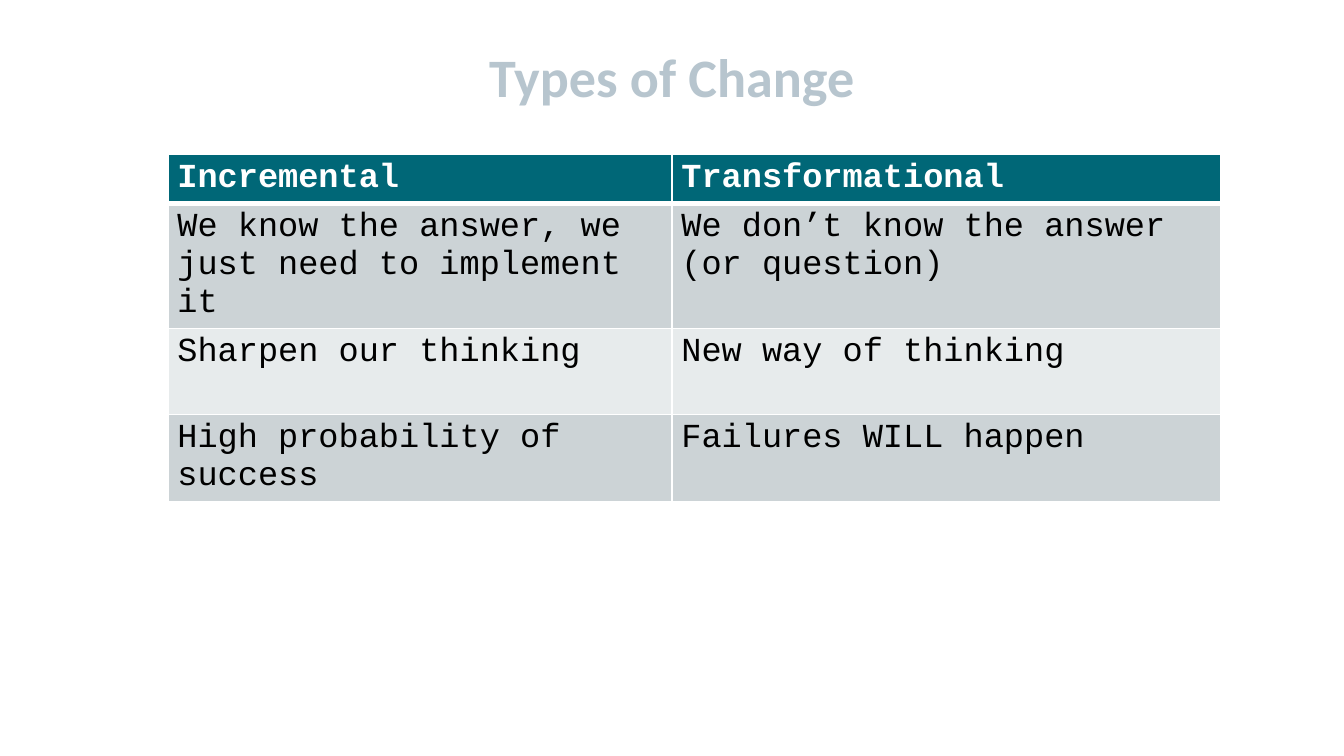
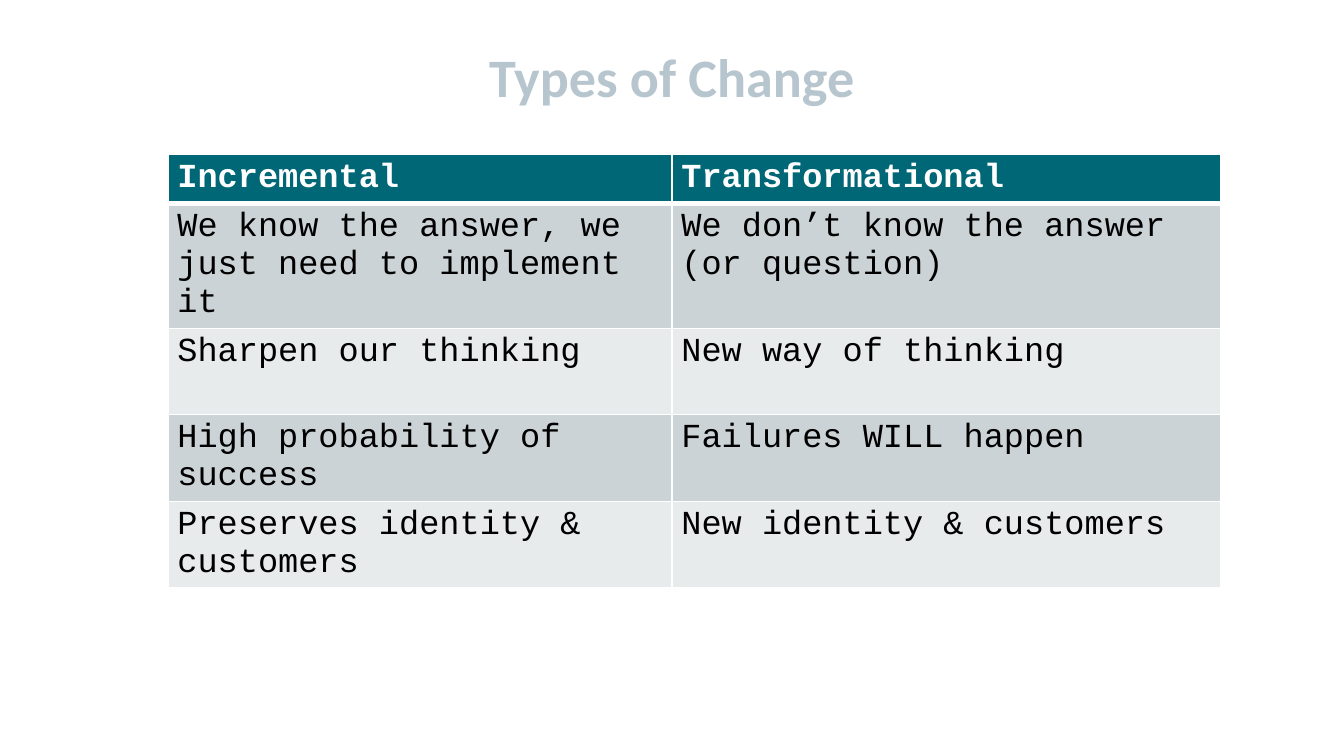
from lxml.etree import SubElement
from pptx import Presentation
from pptx.dml.color import RGBColor
from pptx.enum.text import MSO_ANCHOR, PP_ALIGN
from pptx.oxml.ns import qn
from pptx.util import Inches, Pt

COLORS = {
    "title": "B7C5CE",
    "head": "006777",
    "dark": "CCD3D6",
    "light": "E7EBEC",
    "white": "FFFFFF",
    "black": "000000",
}
WIDTHS = [3.75, 4.08]
HEAD = ("Incremental", "Transformational")
# Left text, right text, row height
ROWS = [
    ("We know the answer, we just need to implement it",
     "We don’t know the answer (or question)", 0.91),
    ("Sharpen our thinking", "New way of thinking", 0.64),
    ("High probability of success", "Failures WILL happen", 0.64),
    ("Preserves identity & customers", "New identity & customers", 0.64),
]


def color(name):
    return RGBColor.from_string(COLORS[name])


def set_font(par, face, size, tint, bold):
    par.font.name = face
    par.font.size = Pt(size)
    par.font.bold = bold
    par.font.color.rgb = color(tint)


def add_title(slide, text):
    title = slide.shapes.title
    title.left, title.top = Inches(0.5), Inches(0.25)
    title.width, title.height = Inches(9), Inches(0.63)
    frame = title.text_frame
    frame.text = text
    frame.vertical_anchor = MSO_ANCHOR.MIDDLE
    par = frame.paragraphs[0]
    par.alignment = PP_ALIGN.CENTER
    set_font(par, "Calibri", 29, "title", True)


def set_lines(cell, top, bottom):
    """Draw white cell borders, with top and bottom widths in points."""
    props = cell._tc.get_or_add_tcPr()
    for side, width in (("L", 1), ("R", 1), ("T", top), ("B", bottom)):
        line = SubElement(props, qn(f"a:ln{side}"), w=str(Pt(width)))
        fill = SubElement(line, qn("a:solidFill"))
        SubElement(fill, qn("a:srgbClr"), val=COLORS["white"])


def fill_cell(cell, text, row):
    head = row == 0
    cell.margin_left = cell.margin_right = Inches(0.07)
    cell.margin_top = cell.margin_bottom = Inches(0.04)
    # The rule below the header is thicker
    set_lines(cell, 3 if row == 1 else 1, 3 if head else 1)
    cell.fill.solid()
    band = "head" if head else "dark" if row % 2 else "light"
    cell.fill.fore_color.rgb = color(band)
    cell.text = text
    set_font(cell.text_frame.paragraphs[0], "Courier New", 18,
             "white" if head else "black", head)


def add_grid(slide, rows):
    lines = [(*HEAD, 0.35), *rows]
    total = sum(line[-1] for line in lines)
    table = slide.shapes.add_table(
        len(lines), len(WIDTHS), Inches(1.25), Inches(1.15),
        Inches(sum(WIDTHS)), Inches(total)).table
    for col, width in zip(table.columns, WIDTHS):
        col.width = Inches(width)
    for row, (*texts, height) in enumerate(lines):
        table.rows[row].height = Inches(height)
        for col, text in enumerate(texts):
            fill_cell(table.cell(row, col), text, row)


def main():
    prs = Presentation()
    # Widescreen, 16 to 9
    prs.slide_width, prs.slide_height = Inches(10), Inches(10 * 9 / 16)

    # The second slide adds the last row
    for count in (3, 4):
        slide = prs.slides.add_slide(prs.slide_layouts[5])
        add_title(slide, "Types of Change")
        add_grid(slide, ROWS[:count])

    prs.save("out.pptx")


if __name__ == "__main__":
    main()
